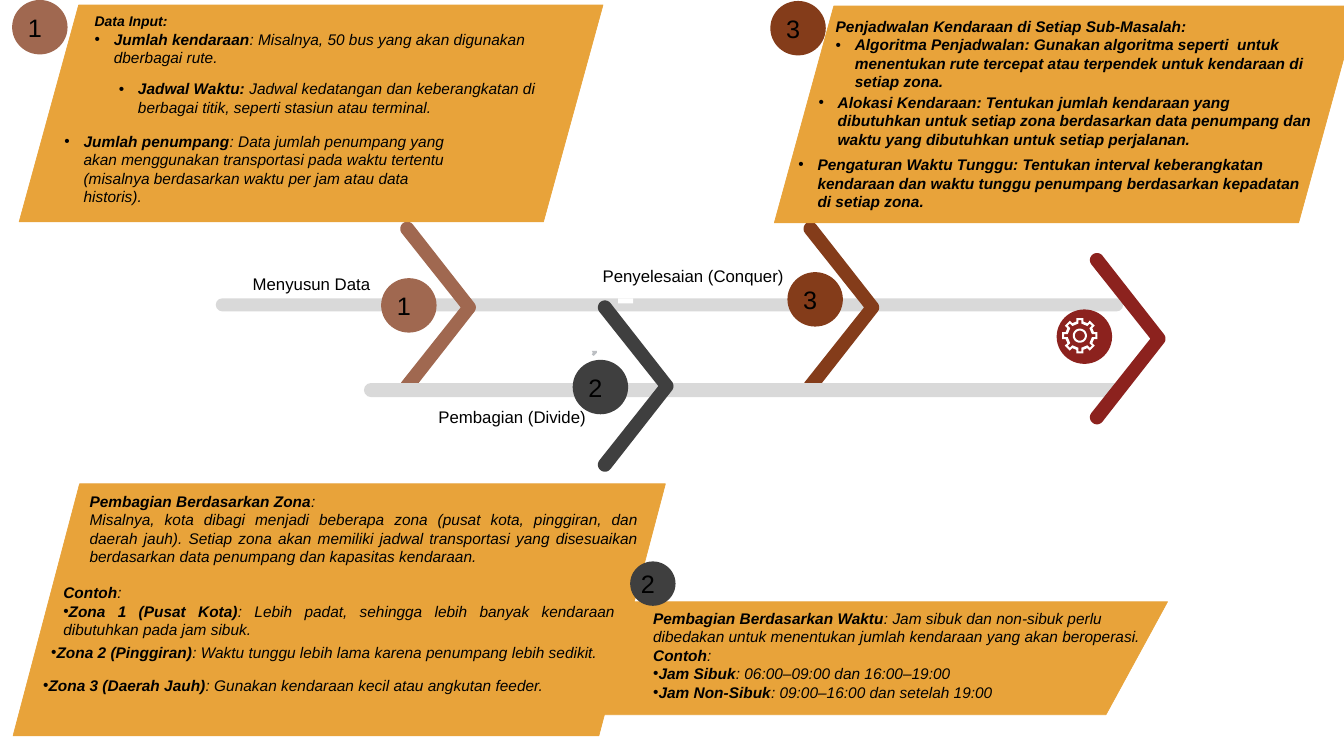
import math

import pptx
import pptx.util
import pptx.dml.color
import pptx.enum.shapes
import pptx.enum.text
import pptx.oxml.ns
from lxml import etree

Inches = pptx.util.Inches
Shapes = pptx.enum.shapes.MSO_SHAPE
Align = pptx.enum.text.PP_ALIGN

COLORS = {
    "panel": "E8A33A", "bar": "D9D9D9", "collect": "A06850",
    "divide": "3F3F3F", "conquer": "843C1A", "result": "8C221E",
    "speck": "BCBFC3", "white": "FFFFFF", "text": "000000",
}


class FishboneSlide:
    """Holds the style and the current slide."""

    font_name = "Arial"

    def __init__(self, slide):
        self.shapes = slide.shapes

    def color(self, key):
        return pptx.dml.color.RGBColor.from_string(COLORS[key])

    def paint(self, shape, key, outline=None):
        shape.shadow.inherit = False
        shape.fill.solid()
        shape.fill.fore_color.rgb = self.color(key)
        if outline:
            shape.line.color.rgb = self.color(key)
            shape.line.width = pptx.util.Pt(outline)
        else:
            shape.line.fill.background()
        return shape

    def preset(self, kind, box, key, adjust=None, outline=None):
        shape = self.shapes.add_shape(kind, *map(Inches, box))
        if adjust is not None:
            shape.adjustments[0] = adjust
        return self.paint(shape, key, outline)

    def panel(self, left, top, width, height, slant):
        self.preset(Shapes.PARALLELOGRAM, (left, top, width, height), "panel",
                    slant / min(width, height), 0.46)

    def bar(self, left, top, right, height):
        self.preset(Shapes.ROUNDED_RECTANGLE, (left, top, right - left, height), "bar", 0.5)

    def outline(self, contours, key):
        emu = [[(Inches(x), Inches(y)) for x, y in contour] for contour in contours]
        builder = self.shapes.build_freeform(*emu[0][0], scale=1.0)
        builder.add_line_segments(emu[0][1:], close=True)
        for contour in emu[1:]:
            builder.move_to(*contour[0])
            builder.add_line_segments(contour[1:], close=True)
        self.paint(builder.convert_to_shape(), key)

    def arc(self, x, y, radius, start, end, steps=12):
        angles = [math.radians(start + (end - start) * i / steps) for i in range(steps + 1)]
        return [(x + radius * math.cos(a), y + radius * math.sin(a)) for a in angles]

    def chevron(self, left, top, key):
        end_x, tip_x, radius = left + 0.09, left + 0.70, 0.07
        self.outline([
            self.arc(end_x, top + 0.07, radius, 142, 322)
            + self.arc(tip_x, top + 0.85, radius, -38, 38)
            + self.arc(end_x, top + 1.63, radius, 38, 218)
            + [(left + 0.62, top + 0.85)]], key)

    def gear(self, x, y):
        def teeth(root, tip, half):
            points = []
            for tooth in range(8):
                cos, sin = math.cos(tooth * math.pi / 4), math.sin(tooth * math.pi / 4)
                for r, w in ((root, -half), (tip, -half), (tip, half), (root, half)):
                    points.append((x + r * cos - w * sin, y + r * sin + w * cos))
            return points

        self.outline([teeth(0.14, 0.175, 0.035), teeth(0.12, 0.155, 0.015)[::-1],
                      self.arc(x, y, 0.07, 0, 360, 32),
                      self.arc(x, y, 0.05, 360, 0, 32)], "white")

    def badge(self, left, top, key, number=None, size=0.55):
        oval = self.preset(Shapes.OVAL, (left, top, size, size - 0.01), key)
        if number:
            frame = oval.text_frame
            frame.margin_left = frame.margin_top = frame.margin_bottom = 0
            frame.margin_right = Inches(0.1)
            frame.word_wrap = False
            frame.vertical_anchor = pptx.enum.text.MSO_ANCHOR.MIDDLE
            self.paragraph(frame.paragraphs[0], [(number, False)], 18, Align.CENTER, italic=False)

    def paragraph(self, para, runs, size=11, align=Align.LEFT, italic=True,
                  bullet=False, indent=0, hang=0):
        para.alignment = align
        props = para._p.get_or_add_pPr()
        props.set("marL", str(Inches(indent)))
        props.set("indent", str(Inches(-hang)))
        if bullet:
            font = etree.SubElement(props, pptx.oxml.ns.qn("a:buFont"))
            font.set("typeface", self.font_name)
            etree.SubElement(props, pptx.oxml.ns.qn("a:buChar")).set("char", "•")
        for words, bold in runs:
            run = para.add_run()
            run.text = words
            run.font.name = self.font_name
            run.font.size = pptx.util.Pt(size)
            run.font.bold = bold
            run.font.italic = italic
            run.font.color.rgb = self.color("text")

    def text(self, box, *paragraphs, **style):
        frame = self.shapes.add_textbox(*map(Inches, box)).text_frame
        frame.word_wrap = True
        for i, (runs, options) in enumerate(paragraphs):
            para = frame.add_paragraph() if i else frame.paragraphs[0]
            self.paragraph(para, runs, **{**style, **options})

    def label(self, left, top, width, words):
        self.text((left, top, width, 0.3), ([(words, False)], {}),
                  size=12, align=Align.CENTER, italic=False)


def term(head, rest="", **options):
    """A paragraph with a bold head and a regular rest."""
    return [(head, True)] + ([(rest, False)] if rest else []), options


def main():
    deck = pptx.Presentation()
    deck.slide_width, deck.slide_height = Inches(13.33), Inches(7.5)
    page = FishboneSlide(deck.slides.add_slide(deck.slide_layouts[6]))
    hanging = {"bullet": True, "indent": 0.19, "hang": 0.19}
    nested = {"bullet": True, "indent": 0.69, "hang": 0.19}

    # Bars, chevrons and panels
    page.panel(5.62, 5.97, 5.96, 1.12, 0.61)
    page.bar(2.14, 2.96, 11.14, 0.13)
    page.badge(7.81, 2.7, "conquer", "3")
    page.chevron(3.95, 2.2, "collect")
    page.badge(3.78, 2.76, "collect", "1")
    page.outline([[(5.87, 3.48), (5.92, 3.48), (5.92, 3.5), (5.89, 3.53),
                   (5.87, 3.52), (5.88, 3.5)]], "speck")
    page.chevron(7.95, 2.2, "conquer")
    page.badge(10.48, 3.07, "result")
    page.panel(0.19, 0.05, 5.79, 2.15, 0.59)
    page.bar(3.61, 3.8, 11.14, 0.14)
    page.chevron(5.91, 2.98, "divide")
    page.badge(5.68, 3.57, "divide", "2")
    page.preset(Shapes.RECTANGLE, (6.13, 2.96, 0.15, 0.05), "white")
    page.panel(0.13, 4.8, 6.47, 2.5, 0.66)

    # Stage labels
    page.label(2.13, 2.67, 1.92, "Menyusun Data")
    page.label(4.12, 3.99, 1.92, "Pembagian (Divide)")
    page.label(5.83, 2.59, 2.09, "Penyelesaian (Conquer)")

    # Stage 1: input data
    page.text((0.34, 0.08, 4.99, 0.64),
              term("Data Input:", size=10, indent=0.5),
              term("Jumlah kendaraan", ": Misalnya, 50 bus yang akan digunakan dberbagai rute.",
                   **nested))
    page.text((0.58, 0.74, 5.1, 0.47),
              term("Jadwal Waktu: ", "Jadwal kedatangan dan keberangkatan di berbagai titik, "
                   "seperti stasiun atau terminal.", **nested))
    page.badge(0.12, 0, "collect", "1")
    page.text((0.54, 1.26, 4.02, 0.84),
              term("Jumlah penumpang", ": Data jumlah penumpang yang akan menggunakan "
                   "transportasi pada waktu tertentu (misalnya berdasarkan waktu per jam "
                   "atau data historis).", **hanging))

    # Stage 2: division by zone
    page.text((0.79, 4.83, 5.64, 0.84),
              term("Pembagian Berdasarkan Zona", ":"),
              ([("Misalnya, kota dibagi menjadi beberapa zona (pusat kota, pinggiran, dan daerah "
                 "jauh). Setiap zona akan memiliki jadwal transportasi yang disesuaikan "
                 "berdasarkan data penumpang dan kapasitas kendaraan.", False)], {}),
              align=Align.JUSTIFY)
    page.text((0.53, 5.74, 5.67, 0.66),
              term("Contoh", ":"),
              term("Zona 1 (Pusat Kota)", ": Lebih padat, sehingga lebih banyak kendaraan "
                   "dibutuhkan pada jam sibuk.", bullet=True), align=Align.JUSTIFY)
    page.text((0.41, 6.33, 6.67, 0.29),
              term("Zona 2 (Pinggiran)", ": Waktu tunggu lebih lama karena penumpang lebih "
                   "sedikit.", bullet=True), align=Align.JUSTIFY)
    page.text((0.33, 6.66, 6.67, 0.29),
              term("Zona 3 (Daerah Jauh)", ": Gunakan kendaraan kecil atau angkutan feeder.",
                   bullet=True), align=Align.JUSTIFY)

    # Stage 2: division by time
    page.text((6.38, 5.99, 5.2, 1.03),
              term("Pembagian Berdasarkan Waktu", ": Jam sibuk dan non-sibuk perlu dibedakan "
                   "untuk menentukan jumlah kendaraan yang akan beroperasi."),
              term("Contoh", ":"),
              term("Jam Sibuk", ": 06:00–09:00 dan 16:00–19:00", bullet=True),
              term("Jam Non-Sibuk", ": 09:00–16:00 dan setelah 19:00", bullet=True))
    page.badge(6.25, 5.57, "divide", "2", 0.45)

    # Result
    page.chevron(10.79, 2.51, "result")
    page.gear(10.71, 3.33)

    # Stage 3: scheduling
    page.panel(7.68, 0.06, 5.79, 2.15, 0.59)
    page.text((8.19, 0.12, 5.04, 0.84),
              term("Penjadwalan Kendaraan di Setiap Sub-Masalah:"),
              term("Algoritma Penjadwalan: Gunakan algoritma seperti  untuk menentukan rute "
                   "tercepat atau terpendek untuk kendaraan di setiap zona.", **hanging))
    page.text((8.02, 0.87, 5.12, 0.66),
              term("Alokasi Kendaraan: Tentukan jumlah kendaraan yang dibutuhkan untuk setiap "
                   "zona berdasarkan data penumpang dan waktu yang dibutuhkan untuk setiap "
                   "perjalanan.", **hanging))
    page.text((7.82, 1.49, 5.24, 0.66),
              term("Pengaturan Waktu Tunggu: Tentukan interval keberangkatan kendaraan dan waktu "
                   "tunggu penumpang berdasarkan kepadatan di setiap zona.", **hanging))
    page.badge(7.64, 0.01, "conquer", "3")

    deck.save("out.pptx")


if __name__ == "__main__":
    main()
